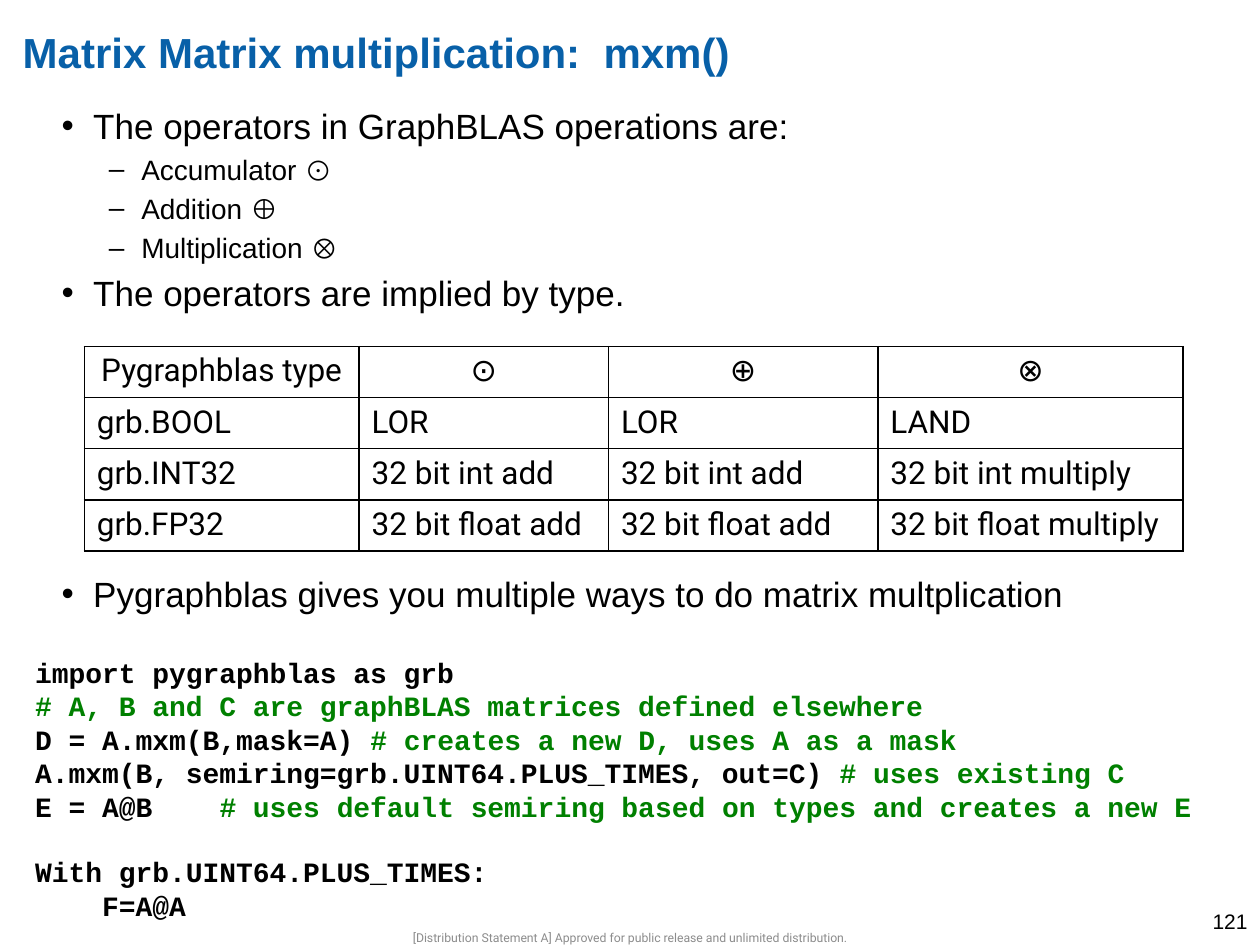
from lxml.etree import SubElement
from pptx import Presentation
from pptx.dml.color import RGBColor
from pptx.enum.text import MSO_ANCHOR, PP_ALIGN
from pptx.oxml.ns import qn
from pptx.util import Pt

COLORS = {
    "ink": "000000",
    "heading": "0860A8",
    "remark": "008000",
    "footer": "8C8C8C",
}
FORMATS = {
    "heading": {"name": "Arial", "size": Pt(24), "bold": True},
    "point": {"name": "Arial", "size": Pt(20)},
    "subpoint": {"name": "Arial", "size": Pt(16)},
    "code": {"name": "Courier New", "size": Pt(16), "bold": True},
    "cell": {"name": "Roboto", "size": Pt(18), "bold": False},
    "footer": {"name": "Roboto", "size": Pt(7)},
    "number": {"name": "Arial", "size": Pt(12)},
}
BULLETS = {
    "point": {"symbol": "•", "margin": 18, "hanging": 18, "before": 4},
    "subpoint": {"symbol": "–", "margin": 45.5, "hanging": 18.5, "before": 3.2},
}

OPERATORS = [
    ("point", "The operators in GraphBLAS operations are:"),
    ("subpoint", "Accumulator ⊙"),
    ("subpoint", "Addition ⊕"),
    ("subpoint", "Multiplication ⊗"),
    ("point", "The operators are implied by type."),
]
WAYS = [("point", "Pygraphblas gives you multiple ways to do matrix multplication")]
TYPE_ROWS = [
    ["Pygraphblas type", "⊙", "⊕", "⊗"],
    ["grb.BOOL", "LOR", "LOR", "LAND"],
    ["grb.INT32", "32 bit int add", "32 bit int add", "32 bit int multiply"],
    ["grb.FP32", "32 bit float add", "32 bit float add", "32 bit float multiply"],
]
TYPE_WIDTHS = [157, 142.5, 154, 174.5]
CODE_BLOCKS = [
    [
        "import pygraphblas as grb",
        "# A, B and C are graphBLAS matrices defined elsewhere",
        "D = A.mxm(B,mask=A) # creates a new D, uses A as a mask",
        "A.mxm(B, semiring=grb.UINT64.PLUS_TIMES, out=C) # uses existing C",
        "E = A@B    # uses default semiring based on types and creates a new E",
    ],
    ["With grb.UINT64.PLUS_TIMES:", "    F=A@A"],
]


class SlideBuilder:
    def __init__(self, slide):
        self.slide = slide

    def add_text(self, paragraph, text, style, color="ink"):
        run = paragraph.add_run()
        run.text = text
        for attribute, value in FORMATS[style].items():
            setattr(run.font, attribute, value)
        run.font.color.rgb = RGBColor.from_string(COLORS[color])

    def frame(self, left, top, width, height, padded=False):
        box = self.slide.shapes.add_textbox(Pt(left), Pt(top), Pt(width), Pt(height))
        frame = box.text_frame
        frame.word_wrap = True
        if not padded:
            for side in ("left", "top", "right", "bottom"):
                setattr(frame, f"margin_{side}", 0)
        return frame

    def paragraph(self, frame, index):
        return frame.add_paragraph() if index else frame.paragraphs[0]

    def label(self, text, area, style, color="ink", align=PP_ALIGN.LEFT,
              anchor=MSO_ANCHOR.TOP, padded=False):
        frame = self.frame(*area, padded=padded)
        frame.vertical_anchor = anchor
        frame.paragraphs[0].alignment = align
        self.add_text(frame.paragraphs[0], text, style, color)

    def bullets(self, points, area):
        frame = self.frame(*area)
        for index, (style, text) in enumerate(points):
            paragraph = self.paragraph(frame, index)
            bullet = BULLETS[style]
            if index:
                paragraph.space_before = Pt(bullet["before"])
            properties = paragraph._p.get_or_add_pPr()
            properties.set("marL", str(Pt(bullet["margin"])))
            properties.set("indent", str(-Pt(bullet["hanging"])))
            SubElement(properties, qn("a:buFont"), typeface="Arial")
            SubElement(properties, qn("a:buChar"), char=bullet["symbol"])
            self.add_text(paragraph, text, style)

    def code(self, blocks, area):
        frame = self.frame(*area, padded=True)
        lines = [(row, line) for block in blocks for row, line in enumerate(block)]
        for index, (row, line) in enumerate(lines):
            paragraph = self.paragraph(frame, index)
            if index and row == 0:
                paragraph.space_before = Pt(18)
            statement, mark, remark = line.partition("#")
            if statement:
                self.add_text(paragraph, statement, "code")
            if mark:
                self.add_text(paragraph, mark + remark, "code", "remark")

    def border(self, cell):
        properties = cell._tc.get_or_add_tcPr()
        for edge in ("lnL", "lnR", "lnT", "lnB"):
            line = SubElement(properties, qn(f"a:{edge}"), w=str(Pt(1)))
            fill = SubElement(line, qn("a:solidFill"))
            SubElement(fill, qn("a:srgbClr"), val=COLORS["ink"])

    def table(self, rows, widths, left, top, row_height):
        table = self.slide.shapes.add_table(
            len(rows), len(widths), Pt(left), Pt(top),
            Pt(sum(widths)), Pt(row_height * len(rows))).table
        table.first_row = table.horz_banding = False
        for column, width in zip(table.columns, widths):
            column.width = Pt(width)
        for row_index, texts in enumerate(rows):
            table.rows[row_index].height = Pt(row_height)
            for column_index, text in enumerate(texts):
                cell = table.cell(row_index, column_index)
                self.border(cell)
                cell.fill.background()
                paragraph = cell.text_frame.paragraphs[0]
                paragraph.alignment = PP_ALIGN.LEFT if row_index else PP_ALIGN.CENTER
                self.add_text(paragraph, text, "cell")


def main():
    deck = Presentation()
    deck.slide_width, deck.slide_height = Pt(720), Pt(540)
    builder = SlideBuilder(deck.slides.add_slide(deck.slide_layouts[6]))
    builder.label(
        "[Distribution Statement A] Approved for public release and unlimited distribution.",
        (206, 531.4, 308, 8.6), "footer", "footer", PP_ALIGN.CENTER,
        MSO_ANCHOR.MIDDLE, padded=True)
    builder.label("Matrix Matrix multiplication:  mxm()", (13, 15.1, 424, 70),
                  "heading", "heading")
    builder.bullets(OPERATORS, (35.3, 59.8, 636.5, 140.4))
    builder.label("121", (671.8, 515.5, 48.2, 23.8), "number",
                  align=PP_ALIGN.RIGHT, padded=True)
    builder.code(CODE_BLOCKS, (13, 370.8, 703.4, 162.7))
    builder.table(TYPE_ROWS, TYPE_WIDTHS, 48.2, 198, 29.2)
    builder.bullets(WAYS, (35.3, 326.9, 636.5, 25.9))
    deck.save("out.pptx")


if __name__ == "__main__":
    main()
